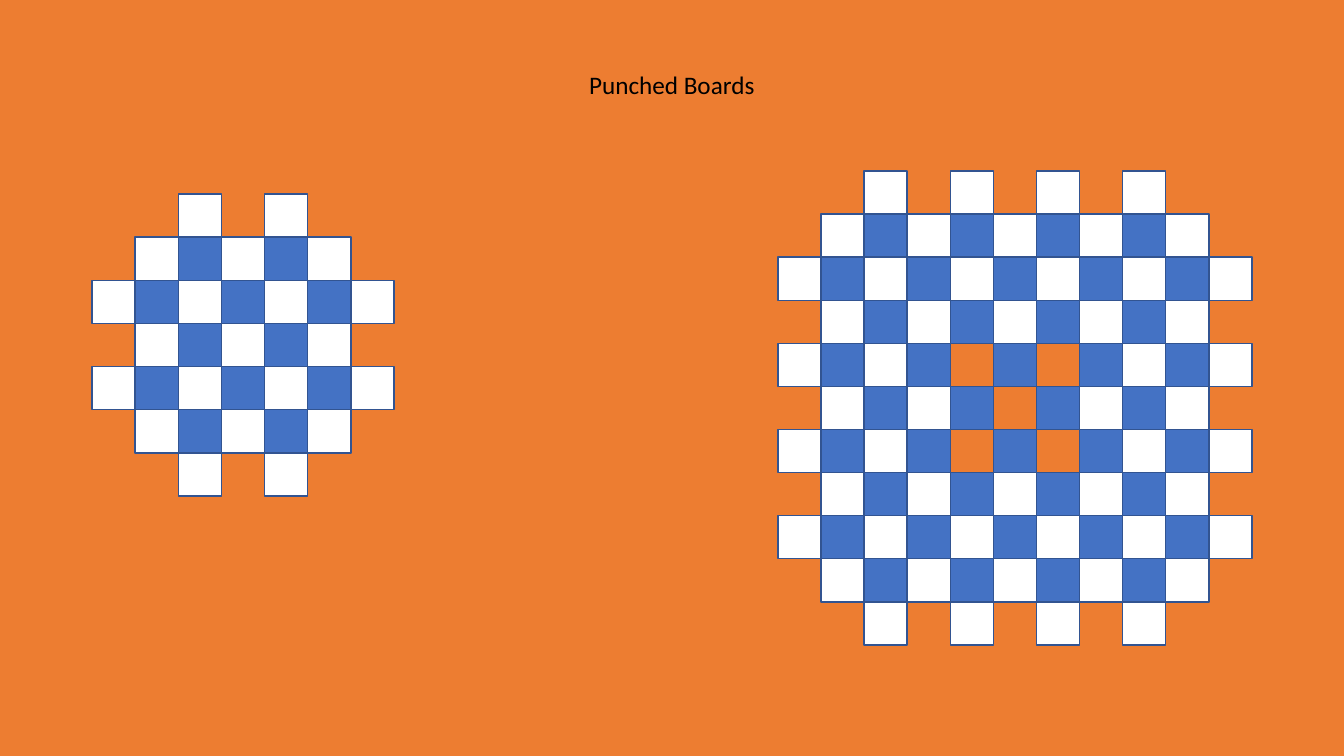
"""Build the Punched Boards slide: two checkered boards on an orange ground."""
from pptx import Presentation
from pptx.dml.color import RGBColor
from pptx.enum.shapes import MSO_SHAPE
from pptx.enum.text import MSO_ANCHOR, MSO_AUTO_SIZE, PP_ALIGN
from pptx.util import Emu, Pt

RECT = MSO_SHAPE.RECTANGLE
TOP = MSO_ANCHOR.TOP
LEFT = PP_ALIGN.LEFT
GROW = MSO_AUTO_SIZE.SHAPE_TO_FIT_TEXT

TITLE = "Punched Boards"
TITLE_BOX = (579, 64, 187, 40)
TITLE_FONT = {"name": "Calibri", "size": Pt(18), "bold": False}
TITLE_FRAME = {"word_wrap": False, "auto_size": GROW, "vertical_anchor": TOP}
GROUND, INK, EDGE = "ED7D31", "000000", "325491"
SQUARES = {"W": "FFFFFF", "B": "4472C4"}

# Each board lists its rows down to the middle one; the rest mirror them.
BOARDS = [
    {"left": 92, "top": 194, "span": 302, "rows": [
        "..W.W..",
        ".WBWBW.",
        "WBWBWBW",
        ".WBWBW.",
    ]},
    {"left": 778, "top": 171, "span": 474, "rows": [
        "..W.W.W.W..",
        ".WBWBWBWBW.",
        "WBWBWBWBWBW",
        ".WBWBWBWBW.",
        "WBWB.B.BWBW",
        ".WBWB.BWBW.",
    ]},
]


def px(n):
    return Emu(round(n * 914400 / 100.8))


def rgb(value):
    return RGBColor.from_string(value)


def set_all(obj, values):
    for name, value in values.items():
        setattr(obj, name, value)


def add_square(slide, x, y, side, fill):
    sp = slide.shapes.add_shape(RECT, px(x), px(y), px(side), px(side))
    sp.shadow.inherit = False
    sp.fill.solid()
    sp.fill.fore_color.rgb = rgb(fill)
    sp.line.color.rgb = rgb(EDGE)
    sp.line.width = Pt(1)


def add_board(slide, left, top, span, rows):
    side = span / len(rows[0])
    for i, row in enumerate(rows + rows[-2::-1]):
        for j, mark in enumerate(row):
            if mark in SQUARES:
                add_square(slide, left + j * side, top + i * side, side, SQUARES[mark])


def add_title(slide):
    sp = slide.shapes.title
    set_all(sp, dict(zip(("left", "top", "width", "height"), map(px, TITLE_BOX))))
    tf = sp.text_frame
    set_all(tf, TITLE_FRAME)
    p = tf.paragraphs[0]
    p.alignment = LEFT
    r = p.add_run()
    r.text = TITLE
    set_all(r.font, TITLE_FONT)
    r.font.color.rgb = rgb(INK)


prs = Presentation()
prs.slide_width, prs.slide_height = px(1344), px(756)
slide = prs.slides.add_slide(prs.slide_layouts.get_by_name("Title Only"))
slide.background.fill.solid()
slide.background.fill.fore_color.rgb = rgb(GROUND)
add_title(slide)
for board in BOARDS:
    add_board(slide, **board)
prs.save("out.pptx")
